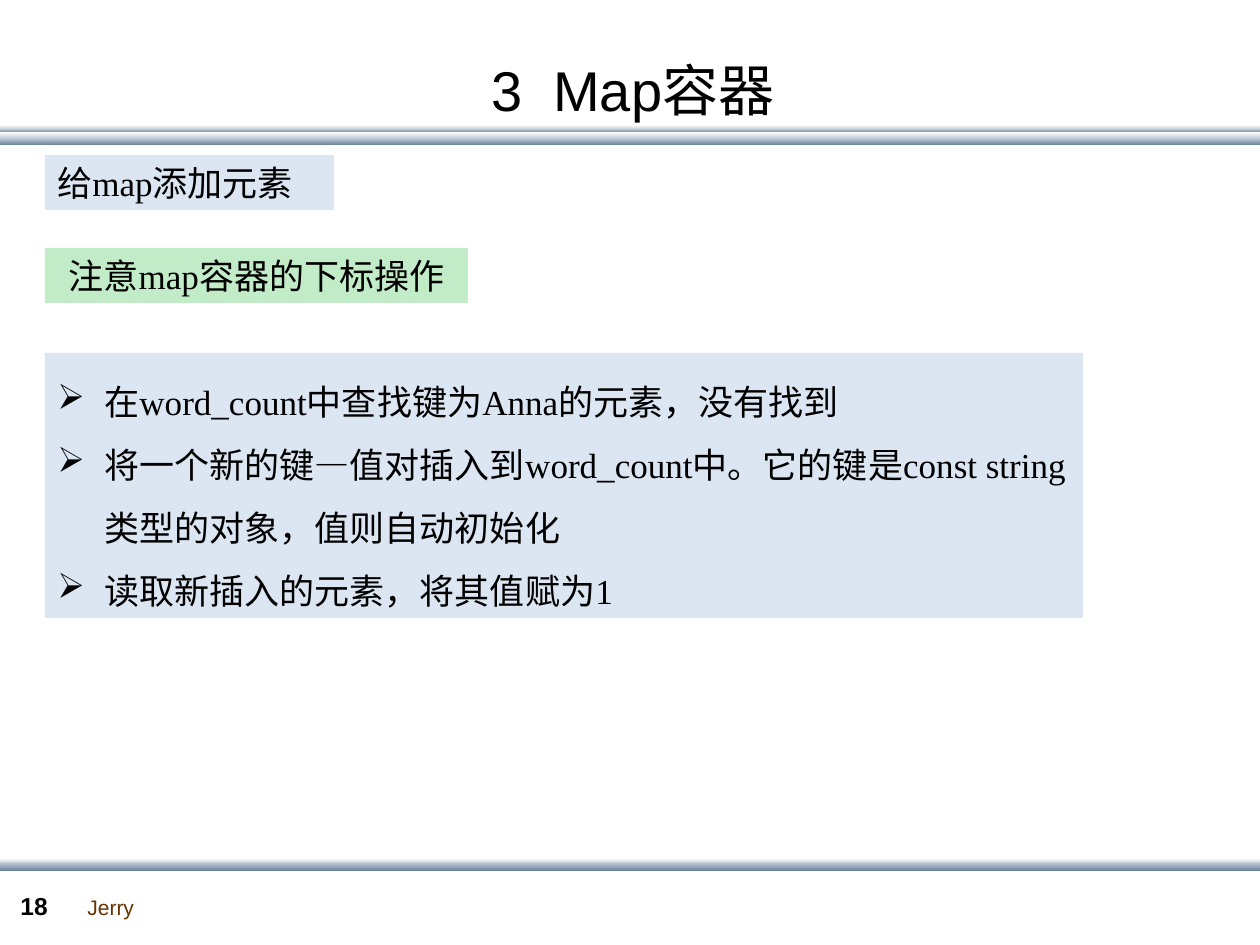
import dataclasses

import pptx
import pptx.dml.color
import pptx.enum.shapes
import pptx.enum.text
import pptx.oxml
import pptx.oxml.ns
import pptx.util

EMU_PER_PX = 914400 / 126
ALIGN = pptx.enum.text.PP_ALIGN
ANCHOR = pptx.enum.text.MSO_ANCHOR


@dataclasses.dataclass(frozen=True)
class Theme:
    sans: str = "Arial"
    serif: str = "Times New Roman"
    ink: str = "000000"
    author: str = "663300"
    blue_panel: str = "DCE6F2"
    green_panel: str = "C2EBC7"
    light_band: tuple = ("FFFFFF", "C8D1DA")
    dark_band: tuple = ("C8D1DA", "6A839C")
    title_size: int = 32
    body_size: int = 20
    number_size: int = 14
    author_size: int = 12


def px(length):
    return pptx.util.Emu(round(length * EMU_PER_PX))


def rgb(value):
    return pptx.dml.color.RGBColor.from_string(value)


def add_bullet(paragraph, char, color, indent):
    """Give the paragraph a hanging bullet."""
    properties = paragraph._p.get_or_add_pPr()
    properties.set("marL", str(px(indent)))
    properties.set("indent", str(-px(indent)))
    namespace = pptx.oxml.ns.nsdecls("a")
    for xml in (
        f'<a:buClr {namespace}><a:srgbClr val="{color}"/></a:buClr>',
        f'<a:buChar {namespace} char="{char}"/>',
    ):
        properties.append(pptx.oxml.parse_xml(xml))


def write(frame, text, *, font, size, color, bold=False, align=ALIGN.LEFT,
          anchor=ANCHOR.TOP, wrap=True, bullet=None, indent=0, spacing=None):
    """Fill a text frame, one paragraph for each line of text."""
    frame.word_wrap = wrap
    frame.vertical_anchor = anchor
    frame.text = text
    for paragraph in frame.paragraphs:
        paragraph.alignment = align
        if spacing:
            paragraph.line_spacing = spacing
        if bullet:
            add_bullet(paragraph, bullet, color, indent)
        for run in paragraph.runs:
            run.font.name = font
            run.font.size = pptx.util.Pt(size)
            run.font.bold = bold
            run.font.color.rgb = rgb(color)


class SlideBuilder:
    def __init__(self, slide, theme):
        self.slide = slide
        self.theme = theme

    def rectangle(self, left, top, width, height):
        shape = self.slide.shapes.add_shape(
            pptx.enum.shapes.MSO_SHAPE.RECTANGLE,
            px(left), px(top), px(width), px(height))
        shape.shadow.inherit = False
        shape.line.fill.background()
        return shape

    def band(self, top, height, colors):
        """Draw a full-width bar shaded from top to bottom."""
        fill = self.rectangle(0, top, 1261, height).fill
        fill.gradient()
        fill.gradient_angle = 270
        for stop, position, color in zip(fill.gradient_stops, (0, 1), colors):
            stop.position = position
            stop.color.rgb = rgb(color)

    def panel(self, top, width, height, fill, text, **text_format):
        shape = self.rectangle(45, top, width, height)
        shape.fill.solid()
        shape.fill.fore_color.rgb = rgb(fill)
        write(shape.text_frame, text, font=self.theme.serif,
              size=self.theme.body_size, color=self.theme.ink, **text_format)

    def label(self, left, top, width, height, text, **text_format):
        box = self.slide.shapes.add_textbox(
            px(left), px(top), px(width), px(height))
        write(box.text_frame, text, font=self.theme.sans, **text_format)


def main():
    theme = Theme()
    deck = pptx.Presentation()
    deck.slide_width, deck.slide_height = px(1260), px(945)
    page = SlideBuilder(deck.slides.add_slide(deck.slide_layouts[6]), theme)

    for top, height, colors in (
        (138, 7, theme.dark_band),
        (129, 4, theme.dark_band),
        (132, 6, theme.light_band),
        (125, 4, theme.light_band),
        (858, 6, theme.light_band),
        (862, 9, theme.dark_band),
    ):
        page.band(top, height, colors)

    page.label(75, 888, 72, 38, "Jerry", size=theme.author_size,
               color=theme.author, wrap=False)
    page.label(8, 885, 69, 43, "18", size=theme.number_size,
               color=theme.ink, bold=True)
    page.label(28, 55, 1210, 69, "3  Map容器", size=theme.title_size,
               color=theme.ink, align=ALIGN.CENTER, anchor=ANCHOR.MIDDLE)

    page.panel(155, 289, 55, theme.blue_panel, "给map添加元素")
    page.panel(248, 423, 55, theme.green_panel, "注意map容器的下标操作",
               align=ALIGN.CENTER)
    steps = (
        "在word_count中查找键为Anna的元素，没有找到",
        "将一个新的键—值对插入到word_count中。"
        "它的键是const string类型的对象，值则自动初始化",
        "读取新插入的元素，将其值赋为1",
    )
    page.panel(353, 1038, 265, theme.blue_panel, "\n".join(steps),
               bullet="➢", indent=47, spacing=1.5)

    deck.save("out.pptx")


if __name__ == "__main__":
    main()
